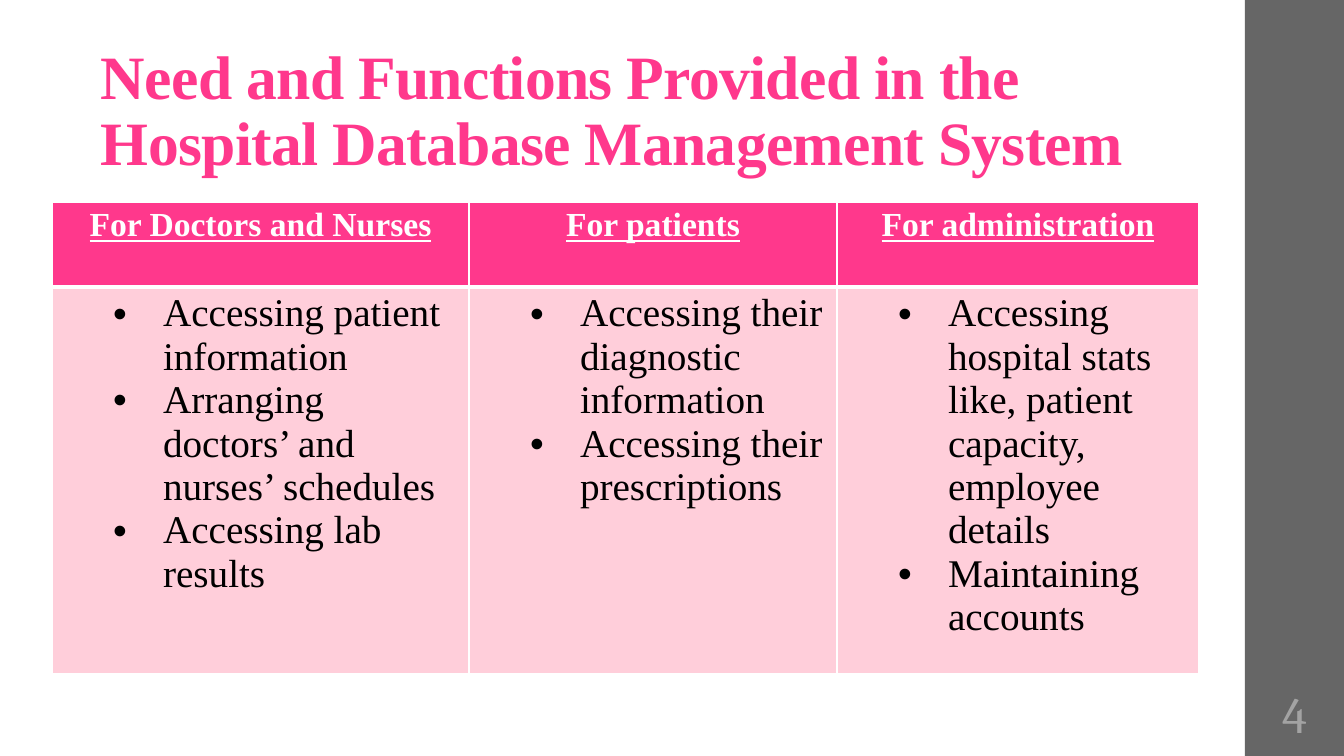
from lxml import etree
from pptx import Presentation
from pptx.dml.color import RGBColor
from pptx.enum.shapes import MSO_SHAPE
from pptx.enum.text import MSO_ANCHOR, PP_ALIGN
from pptx.oxml.ns import qn
from pptx.util import Emu, Pt

RECTANGLE = MSO_SHAPE.RECTANGLE
LEFT, CENTER = PP_ALIGN.LEFT, PP_ALIGN.CENTER
MIDDLE, BOTTOM = MSO_ANCHOR.MIDDLE, MSO_ANCHOR.BOTTOM

EMU_PER_PX = 914400 / 100.8
PINK, PALE_PINK, WHITE, BLACK = "FF388C", "FFCEDA", "FFFFFF", "000000"
SIDEBAR_GREY, NUMBER_GREY = "666666", "A3A3A3"
SERIF = "Times New Roman"

TITLE_FONT = {"name": SERIF, "size": Pt(44), "bold": True}
HEADER_FONT = {"name": SERIF, "size": Pt(24), "bold": True, "underline": True}
BODY_FONT = {"name": SERIF, "size": Pt(28), "bold": False}
NUMBER_FONT = {"name": "Cambria", "size": Pt(36)}

COLUMN_WIDTHS = [417, 368, 362]
ROW_HEIGHTS = [85, 386]
FUNCTIONS = {
    "For Doctors and Nurses": [
        "Accessing patient information",
        "Arranging doctors’ and nurses’ schedules",
        "Accessing lab results",
    ],
    "For patients": [
        "Accessing their diagnostic information",
        "Accessing their prescriptions",
    ],
    "For administration": [
        "Accessing hospital stats like, patient capacity, employee details",
        "Maintaining accounts",
    ],
}


def px(length):
    return Emu(round(length * EMU_PER_PX))


def rgb(value):
    return RGBColor.from_string(value)


def set_all(target, values):
    for name, value in values.items():
        setattr(target, name, value)


def write(para, text, font, color, align=LEFT):
    para.alignment = align
    span = para.add_run()
    span.text = text
    set_all(span.font, font)
    span.font.color.rgb = rgb(color)
    return span


def add_text(page, area, text, font, color, align, anchor, margins):
    box = page.shapes.add_textbox(*map(px, area))
    frame = box.text_frame
    left, top, right, bottom = map(px, margins)
    set_all(frame, {
        "word_wrap": True, "vertical_anchor": anchor,
        "margin_left": left, "margin_top": top,
        "margin_right": right, "margin_bottom": bottom,
    })
    para = frame.paragraphs[0]
    return para, write(para, text, font, color, align)


def add_bar(page, area, color):
    bar = page.shapes.add_shape(RECTANGLE, *map(px, area))
    bar.shadow.inherit = False
    bar.fill.solid()
    bar.fill.fore_color.rgb = rgb(color)
    bar.line.fill.background()


def add_bullet(para, indent, hanging):
    para.level = 1
    properties = para._p.get_or_add_pPr()
    properties.set("marL", str(px(indent)))
    properties.set("indent", str(-px(hanging)))
    etree.SubElement(properties, qn("a:buFont"), typeface="Arial")
    etree.SubElement(properties, qn("a:buChar"), char="•")


def style_cell(cell, color, top, bottom):
    properties = cell._tc.get_or_add_tcPr()
    for side, points in {"L": 1, "R": 1, "T": top, "B": bottom}.items():
        border = etree.SubElement(properties, qn(f"a:ln{side}"), w=str(Pt(points)))
        fill = etree.SubElement(border, qn("a:solidFill"))
        etree.SubElement(fill, qn("a:srgbClr"), val=WHITE)
    cell.fill.solid()
    cell.fill.fore_color.rgb = rgb(color)


def add_functions_table(page, left, top):
    table = page.shapes.add_table(
        len(ROW_HEIGHTS), len(COLUMN_WIDTHS), px(left), px(top),
        px(sum(COLUMN_WIDTHS)), px(sum(ROW_HEIGHTS))).table
    set_all(table, {"first_row": False, "horz_banding": False})
    for column, width in zip(table.columns, COLUMN_WIDTHS):
        column.width = px(width)
    for row, height in zip(table.rows, ROW_HEIGHTS):
        row.height = px(height)

    for index, (heading, items) in enumerate(FUNCTIONS.items()):
        header, body = table.cell(0, index), table.cell(1, index)
        style_cell(header, PINK, top=1, bottom=3)
        style_cell(body, PALE_PINK, top=3, bottom=1)
        write(header.text_frame.paragraphs[0], heading, HEADER_FONT, WHITE, CENTER)
        frame = body.text_frame
        for number, item in enumerate(items):
            para = frame.add_paragraph() if number else frame.paragraphs[0]
            write(para, item, BODY_FONT, BLACK)
            add_bullet(para, indent=101, hanging=50)


def main():
    deck = Presentation()
    set_all(deck, {"slide_width": px(1344), "slide_height": px(756)})
    page = deck.slides.add_slide(deck.slide_layouts[6])

    # Sidebar
    add_bar(page, (1245, 0, 99, 756), SIDEBAR_GREY)

    # Title
    para, span = add_text(
        page, (91, 27, 1069, 157),
        "Need and Functions Provided in the Hospital Database Management System",
        TITLE_FONT, PINK, LEFT, BOTTOM, (10, 3, 10, 5))
    para.line_spacing = 0.9
    span.font._element.set("spc", "-50")

    # Functions by user group
    add_functions_table(page, 52, 202)

    # Page number
    add_text(page, (1245, 680, 99, 66), "4", NUMBER_FONT, NUMBER_GREY,
             CENTER, MIDDLE, (5, 5, 5, 5))

    deck.save("out.pptx")


if __name__ == "__main__":
    main()
